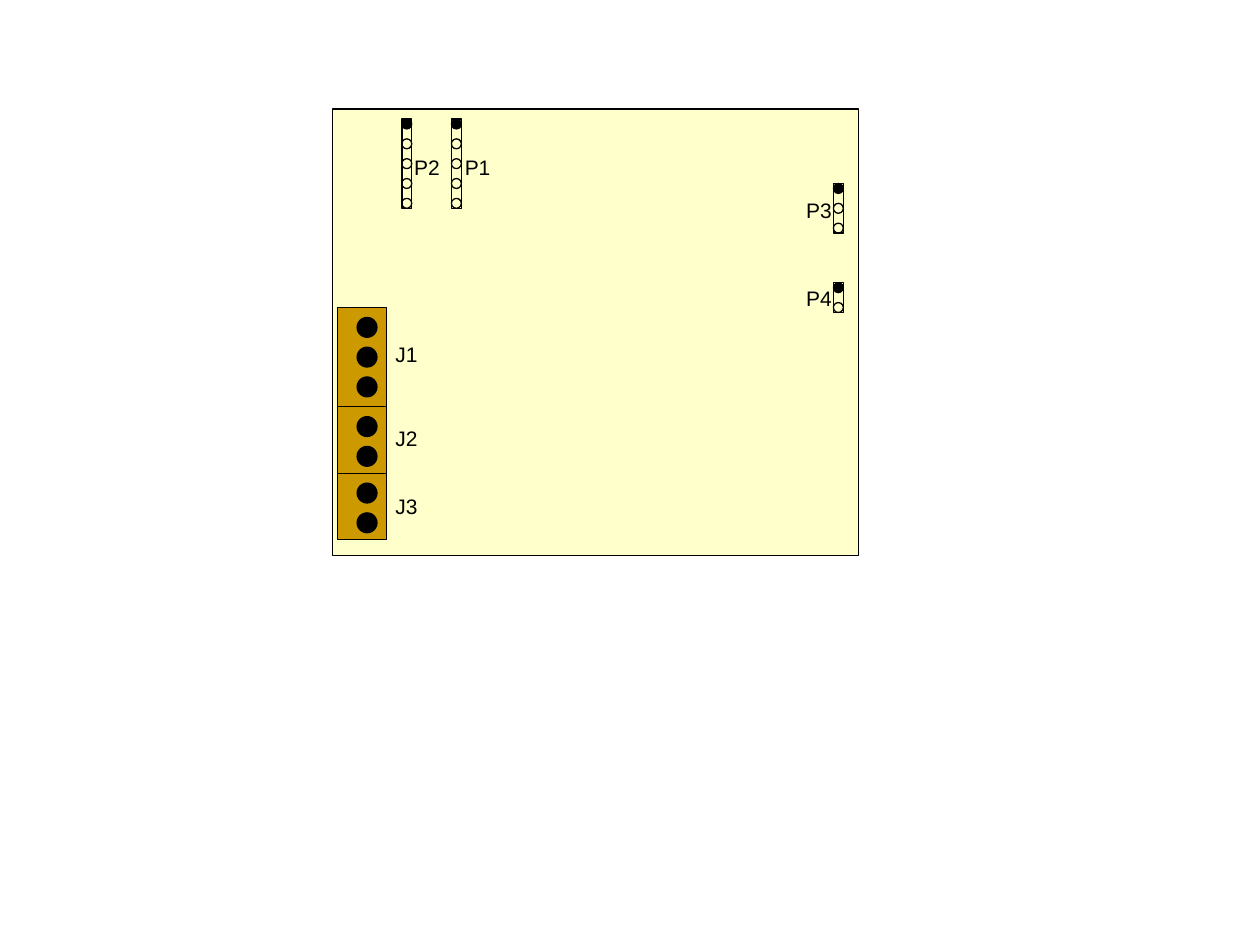
"""Draw a circuit board with its pin headers and terminal blocks on a 2 mm grid."""
from dataclasses import dataclass

from pptx import Presentation
from pptx import util as u
from pptx.dml.color import RGBColor
from pptx.enum import shapes, text


@dataclass(frozen=True)
class Theme:
    """Colours, type and line sizes of the board drawing."""
    board: RGBColor = RGBColor(0xFF, 0xFF, 0xCC)
    terminal: RGBColor = RGBColor(0xCC, 0x99, 0x00)
    ink: RGBColor = RGBColor(0, 0, 0)
    font: str = "Arial"
    label_size: u.Pt = u.Pt(12)
    outline: u.Pt = u.Pt(0.75)


THEME = Theme()
RECT = shapes.MSO_SHAPE.RECTANGLE
OVAL = shapes.MSO_SHAPE.OVAL


def cells(*counts):
    """Turn counts of 2 mm grid cells into lengths."""
    return [u.Mm(2 * count) for count in counts]


def add_outlined(canvas, kind, box, fill=None):
    """Add an outlined shape, hollow unless a fill is given."""
    shape = canvas.add_shape(kind, *cells(*box))
    shape.shadow.inherit = False
    shape.line.color.rgb = THEME.ink
    shape.line.width = THEME.outline
    if fill is None:
        shape.fill.background()
    else:
        shape.fill.solid()
        shape.fill.fore_color.rgb = fill
    return shape


def add_turned(canvas, kind, box, fill=None):
    """Add a shape turned by a quarter that covers the given box."""
    column, row, width, height = box
    shift = (width - height) / 2
    upright = (column + shift, row - shift, height, width)
    add_outlined(canvas, kind, upright, fill).rotation = 90


def add_header(canvas, column, row, pins):
    """Add a vertical pin header whose first pin is filled."""
    header = canvas.add_group_shape().shapes
    for pin in range(pins):
        fill = THEME.ink if pin == 0 else None
        add_turned(header, OVAL, (column, row + 2 * pin, 1, 1), fill)
    add_turned(header, RECT, (column, row, 1, 2 * pins - 1))


def add_terminal(canvas, row, height, screws):
    """Add a terminal block with a column of screws."""
    block = canvas.add_group_shape().shapes
    add_outlined(block, RECT, (34, row, 5, height), THEME.terminal)
    for screw in range(screws):
        add_outlined(block, OVAL, (36, row + 1 + 3 * screw, 2, 2), THEME.ink)


def add_label(canvas, name, column, row, width):
    """Add the name of a connector."""
    frame = canvas.add_textbox(*cells(column, row, width, 3.7)).text_frame
    frame.word_wrap = False
    frame.auto_size = text.MSO_AUTO_SIZE.SHAPE_TO_FIT_TEXT
    run = frame.paragraphs[0].add_run()
    run.text = name
    run.font.name = THEME.font
    run.font.size = THEME.label_size
    run.font.color.rgb = THEME.ink


def main():
    """Build and save the slide."""
    deck = Presentation()
    deck.slide_width, deck.slide_height = u.Inches(10), u.Inches(7.5)
    canvas = deck.slides.add_slide(deck.slide_layouts[6]).shapes

    add_turned(canvas, RECT, (33.5, 11, 53, 45), THEME.board)

    headers = (
        ("P1", 45.5, 12, 5, (45.6, 15)),
        ("P2", 40.5, 12, 5, (40.5, 15)),
        ("P3", 84, 18.5, 3, (80, 19.3)),
        ("P4", 84, 28.5, 2, (80, 28.2)),
    )
    for name, column, row, pins, label_at in headers:
        add_header(canvas, column, row, pins)
        add_label(canvas, name, *label_at, 5.1)

    terminals = (
        ("J1", 10, 3, 33.8),
        ("J2", 6.7, 2, 42.3),
        ("J3", 6.7, 2, 49.1),
    )
    row = 31
    for name, height, screws, label_row in terminals:
        add_terminal(canvas, row, height, screws)
        add_label(canvas, name, 38.6, label_row, 4.85)
        row += height

    deck.save("out.pptx")


if __name__ == "__main__":
    main()
